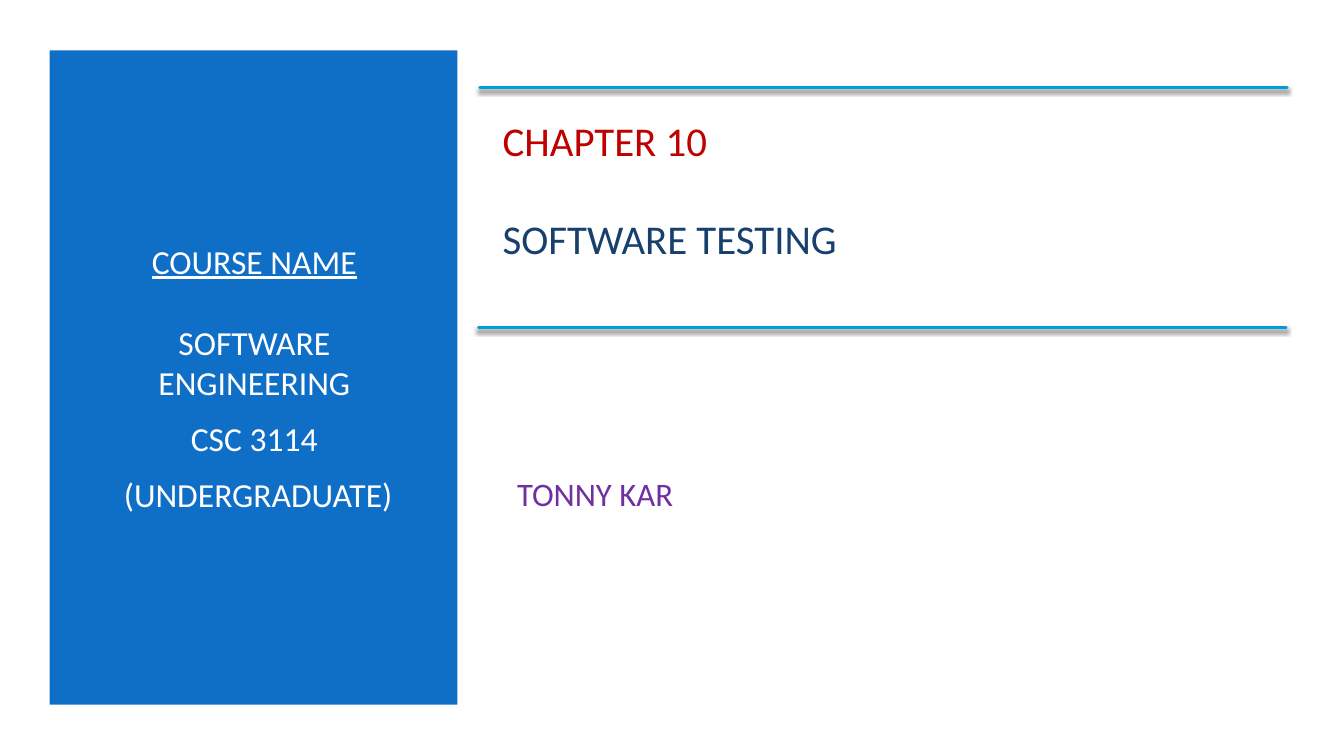
"""Build the title slide of a software testing chapter."""
from lxml.etree import fromstring
from pptx import Presentation
from pptx.dml.color import RGBColor
from pptx.enum.shapes import MSO_CONNECTOR as Connector, MSO_SHAPE as Shape
from pptx.enum.text import MSO_ANCHOR as Anchor, PP_ALIGN as Align
from pptx.util import Cm, Pt

COLORS = {"panel": "0F6FC6", "rule": "009DD9", "white": "FFFFFF",
          "chapter": "C00000", "topic": "17406D", "author": "7030A0"}
FONT = "Calibri"
PANEL = (1.25, 1.27, 10.28, 16.49)
RULES = [(12.09, 2.21), (12.06, 8.26)]
RULE_LENGTH = 20.35

# Each line: text, colour, space before in points, underlined
TEXTS = [
    {"at": (2.13, 2.84, 8.56, 13.34), "size": 24, "align": Align.CENTER, "lines": [
        ("COURSE NAME", "white", 0, True),
        ("SOFTWARE ENGINEERING", "white", 29, False),
        ("CSC 3114", "white", 11, False),
        (" (UNDERGRADUATE)", "white", 11, False)]},
    {"at": (12.42, 2.84, 19.94, 3.84), "size": 29.2, "align": Align.LEFT, "lines": [
        ("CHAPTER 10", "chapter", 0, False),
        ("SOFTWARE TESTING", "topic", 35, False)]},
    {"at": (12.78, 10.46, 16.92, 3.96), "size": 23.4, "align": Align.LEFT, "lines": [
        ("TONNY KAR", "author", 0, False)]},
]
SHADOW = (
    '<a:effectLst xmlns:a="http://schemas.openxmlformats.org/drawingml/2006/main">'
    '<a:outerShdw blurRad="38100" dist="25400" dir="5400000" rotWithShape="0">'
    '<a:srgbClr val="000000"><a:alpha val="55000"/></a:srgbClr>'
    '</a:outerShdw></a:effectLst>')


def color(name):
    return RGBColor.from_string(COLORS[name])


def add_panel(page):
    panel = page.shapes.add_shape(Shape.RECTANGLE, *map(Cm, PANEL))
    panel.shadow.inherit = False
    panel.fill.solid()
    panel.fill.fore_color.rgb = color("panel")
    panel.line.fill.background()


def add_text(page, at, size, align, lines):
    frame = page.shapes.add_textbox(*map(Cm, at)).text_frame
    frame.word_wrap = True
    frame.vertical_anchor = Anchor.MIDDLE
    for index, (text, tint, before, underlined) in enumerate(lines):
        para = frame.add_paragraph() if index else frame.paragraphs[0]
        para.alignment = align
        para.space_before = Pt(before)
        span = para.add_run()
        span.text = text
        span.font.name = FONT
        span.font.size = Pt(size)
        span.font.underline = underlined
        span.font.color.rgb = color(tint)


def add_rule(page, left, top):
    rule = page.shapes.add_connector(
        Connector.STRAIGHT, Cm(left), Cm(top), Cm(left + RULE_LENGTH), Cm(top))
    rule.line.color.rgb = color("rule")
    rule.line.width = Pt(2)
    rule.line._ln.set("cap", "rnd")
    rule._element.spPr.append(fromstring(SHADOW))


def main():
    deck = Presentation()
    deck.slide_width, deck.slide_height = Cm(33.87), Cm(19.05)
    page = deck.slides.add_slide(deck.slide_layouts[6])
    page.background.fill.solid()
    page.background.fill.fore_color.rgb = color("white")
    add_panel(page)
    for text in TEXTS:
        add_text(page, **text)
    for left, top in RULES:
        add_rule(page, left, top)
    deck.save("out.pptx")


if __name__ == "__main__":
    main()
